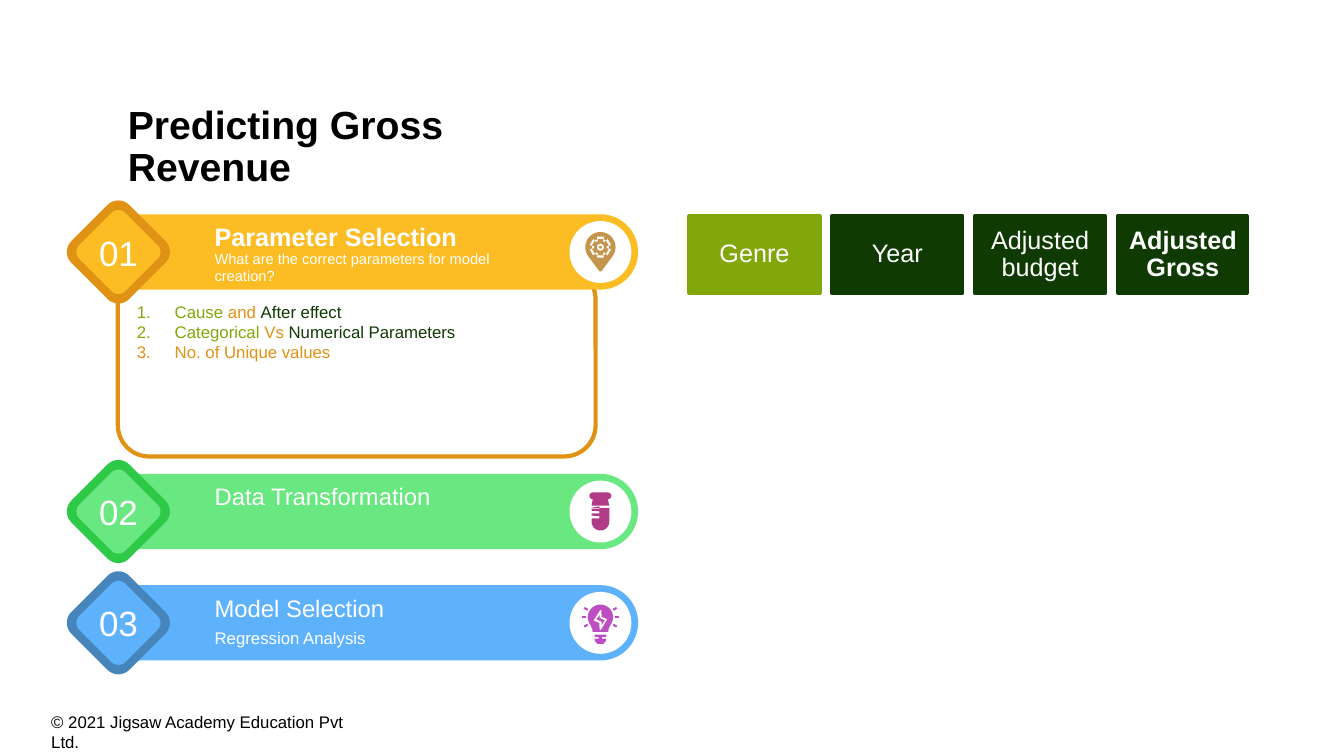
from dataclasses import dataclass
from math import cos, radians, sin

from lxml.etree import SubElement
from pptx import Presentation
from pptx.dml.color import RGBColor
from pptx.enum.shapes import MSO_CONNECTOR, MSO_SHAPE
from pptx.enum.text import MSO_ANCHOR, PP_ALIGN
from pptx.oxml.ns import qn
from pptx.util import Pt


@dataclass(frozen=True)
class Theme:
    face: str = "Arial"
    black: str = "000000"
    white: str = "FFFFFF"
    olive: str = "82A70A"
    forest: str = "0F3A02"
    amber: str = "E09214"
    yellow: str = "FCBD24"
    green: str = "2FC948"
    mint: str = "69E781"
    blue: str = "4685BC"
    sky: str = "5EB2FC"
    pin: str = "C3954D"
    tube: str = "B13B87"
    bulb: str = "BC4DC3"
    headline: float = 28
    number: float = 25
    heading: float = 18
    subheading: float = 17
    body: float = 12
    question: float = 10.5


THEME = Theme()

HEADLINE = "Predicting Gross Revenue"
COPYRIGHT = "© 2021 Jigsaw Academy Education Pvt Ltd."
CRITERIA = [
    [("Cause", THEME.olive), (" and ", THEME.amber), ("After effect", THEME.forest)],
    [("Categorical", THEME.olive), (" Vs ", THEME.amber), ("Numerical Parameters", THEME.forest)],
    [("No. of Unique values", THEME.amber)],
]
# name, colour, outline width, bold
PARAMETERS = [
    ("Genre", THEME.olive, 3, False),
    ("Year", THEME.forest, 3, False),
    ("Adjusted budget", THEME.forest, 3, False),
    ("Adjusted Gross", THEME.forest, 2.25, True),
]
# number, heading, size, bold, detail, detail size, bar colour, rim colour, middle, icon
STEPS = [
    ("01", "Parameter Selection", THEME.heading, True,
     "What are the correct parameters for model creation?", THEME.question,
     THEME.yellow, THEME.amber, 180, "pin"),
    ("02", "Data Transformation", THEME.subheading, False, None, THEME.body,
     THEME.mint, THEME.green, 365.4, "tube"),
    ("03", "Model Selection", THEME.subheading, False, "Regression Analysis", THEME.body,
     THEME.sky, THEME.blue, 444.9, "bulb"),
]
BADGE_X, ICON_X, TEXT_X = 84.6, 428.9, 146.2
BAR_LEFT, BAR_HALF, ICON_RADIUS = 90.5, 26.9, 22.1

presentation = Presentation()
presentation.slide_width, presentation.slide_height = Pt(960), Pt(540)
slide = presentation.slides.add_slide(presentation.slide_layouts[6])
shapes = slide.shapes


def rgb(color):
    return RGBColor.from_string(color)


def paint(shape, fill=None, line=None, width=1):
    shape.shadow.inherit = False
    if fill:
        shape.fill.solid()
        shape.fill.fore_color.rgb = rgb(fill)
    else:
        shape.fill.background()
    if line:
        shape.line.color.rgb = rgb(line)
        shape.line.width = Pt(width)
    else:
        shape.line.fill.background()
    return shape


def set_frame(shape, inset_x, inset_y, anchor):
    frame = shape.text_frame
    frame.word_wrap = True
    frame.vertical_anchor = anchor
    frame.margin_left = frame.margin_right = Pt(inset_x)
    frame.margin_top = frame.margin_bottom = Pt(inset_y)
    return frame


def write(shape, text, size, color=THEME.white, bold=False, align=PP_ALIGN.LEFT,
          anchor=MSO_ANCHOR.MIDDLE, inset=(7.2, 7.2), spacing=1.0):
    paragraph = set_frame(shape, *inset, anchor).paragraphs[0]
    paragraph.text = text
    paragraph.alignment = align
    paragraph.line_spacing = spacing
    font = paragraph.font
    font.name, font.size, font.bold = THEME.face, Pt(size), bold
    font.color.rgb = rgb(color)


def text_box(left, top, width, height):
    return shapes.add_textbox(Pt(left), Pt(top), Pt(width), Pt(height))


def arc(x, y, radius, start, end, step=6):
    """Points from start to end degrees, clockwise on the slide."""
    return [(x + radius * cos(radians(a)), y + radius * sin(radians(a)))
            for a in range(start, end + 1, step)]


def outline(contours, x, y, fill):
    """One filled shape; contours nested in one another become holes."""
    builder = None
    for contour in contours:
        points = [(Pt(x + dx), Pt(y + dy)) for dx, dy in contour]
        if builder is None:
            builder = shapes.build_freeform(*points[0])
        else:
            builder.move_to(*points[0])
        builder.add_line_segments(points[1:], close=True)
    return paint(builder.convert_to_shape(), fill)


def diamond(half, radius):
    reach = half - radius
    return [point for a in (0, 90, 180, 270)
            for point in arc(reach * cos(radians(a)), reach * sin(radians(a)),
                             radius, a - 45, a + 45, 9)]


def gear(y, tip, valley):
    """Six teeth, the first pointing up."""
    return [(radius * cos(radians(a + turn)), y + radius * sin(radians(a + turn)))
            for a in range(-90, 270, 60)
            for turn, radius in ((-19, tip), (19, tip), (22, valley), (38, valley))]


def draw_pin(x, y):
    hub = -3.4
    body = arc(0, hub, 10.8, 143, 397, 2) + [(0.7, 13.8), (-0.7, 13.8)]
    outline([body, gear(hub, 7.9, 6.2), gear(hub, 6.1, 4.5),
             arc(0, hub, 2.5, 0, 354), arc(0, hub, 1, 0, 354)], x, y, THEME.pin)


def draw_tube(x, y):
    cap = (arc(-5.4, -11.2, 2.4, 90, 270) + arc(5.4, -11.2, 2.4, -90, 90)
           + [(6.3, -4.3), (-6.3, -4.3)])
    scale_marks = [point for top in (5.2, 1.7, -1.8)
                   for point in ((-6.3, top + 1.2), (-6.3, top + 1.2 - 1.5),
                                 (-0.8, top - 0.3), (-0.8, top - 1.9))]
    glass = [(-6.3, -2.7), (6.3, -2.7)] + arc(0, 7.2, 6.3, 0, 180) + scale_marks
    outline([cap], x, y, THEME.tube)
    outline([glass], x, y, THEME.tube)


def draw_bulb(x, y):
    center = -4
    glass = arc(0, center, 9, 145, 395, 5) + [(5.8, 4.4), (5.6, 6.5), (-5.6, 6.5), (-5.8, 4.4)]
    bolt_edge = [(0.6, -9.2), (0.9, -4.4), (5, -2.6), (0.3, 5.2), (-0.6, 4.8),
                 (-0.8, 0.2), (-5, -1.6), (-0.4, -8.9)]
    bolt = [(-0.5, -5.6), (-0.5, -3.5), (3.1, -1.7), (0.8, 1.7), (0.8, -0.8), (-2.8, -2.6)]
    outline([glass, bolt_edge, bolt], x, y, THEME.bulb)
    cap = [(-4.2, 8.4), (4.2, 8.4), (4.2, 10), (1.2, 10), (1.2, 11.3), (4.2, 11.3),
           (4, 13), (2, 15), (-2, 15), (-4, 13), (-4.2, 11.3), (-1.2, 11.3),
           (-1.2, 10), (-4.2, 10)]
    outline([cap], x, y, THEME.bulb)
    for angle in (-30, 0, 30, 150, 180, 210):
        dx, dy = cos(radians(angle)), sin(radians(angle))
        ray = shapes.add_connector(
            MSO_CONNECTOR.STRAIGHT, Pt(x + 10.6 * dx), Pt(y + center + 10.6 * dy),
            Pt(x + 13.4 * dx), Pt(y + center + 13.4 * dy))
        ray.line.color.rgb = rgb(THEME.bulb)
        ray.line.width = Pt(1.5)
        SubElement(ray.element.spPr, qn("a:effectLst"))


ICONS = {"pin": draw_pin, "tube": draw_tube, "bulb": draw_bulb}


def draw_criteria():
    panel = paint(shapes.add_shape(MSO_SHAPE.ROUNDED_RECTANGLE, Pt(84.2), Pt(191.5),
                                   Pt(341.3), Pt(134.6)), line=THEME.amber, width=3)
    frame = set_frame(panel, 7.2, 17.4, MSO_ANCHOR.TOP)
    for index, criterion in enumerate(CRITERIA):
        paragraph = frame.paragraphs[0] if index == 0 else frame.add_paragraph()
        paragraph.alignment = PP_ALIGN.LEFT
        properties = paragraph._p.get_or_add_pPr()
        properties.set("marL", str(Pt(27)))
        properties.set("indent", str(-Pt(27)))
        bullet_color = SubElement(properties, qn("a:buClr"))
        SubElement(bullet_color, qn("a:srgbClr"), val=criterion[0][1])
        SubElement(properties, qn("a:buAutoNum"), type="arabicPeriod")
        paragraph.font.name, paragraph.font.size = THEME.face, Pt(THEME.body)
        for words, color in criterion:
            run = paragraph.add_run()
            run.text = words
            run.font.color.rgb = rgb(color)


def draw_step(number, heading, size, bold, detail, detail_size, bar, rim, middle, icon):
    cap_x = ICON_X - BAR_LEFT
    outline([[(0, BAR_HALF), (0, -BAR_HALF)] + arc(cap_x, 0, BAR_HALF, -90, 90)],
            BAR_LEFT, middle, bar)
    paint(shapes.add_shape(MSO_SHAPE.OVAL, Pt(ICON_X - ICON_RADIUS), Pt(middle - ICON_RADIUS),
                           Pt(2 * ICON_RADIUS), Pt(2 * ICON_RADIUS)), THEME.white)
    outline([diamond(36.8, 11)], BADGE_X, middle, rim)
    badge = outline([diamond(30, 7)], BADGE_X, middle, bar)
    write(badge, number, THEME.number, align=PP_ALIGN.CENTER)
    write(text_box(TEXT_X, middle - 25.2, 252.7, 28.8), heading, size, bold=bold)
    if detail:
        write(text_box(TEXT_X, middle - 3.6, 252.7, 28.8), detail, detail_size)
    ICONS[icon](ICON_X, middle)


write(text_box(29.5, 504.7, 225.4, 21.6), COPYRIGHT, THEME.body, THEME.black,
      anchor=MSO_ANCHOR.TOP, inset=(7.2, 3.6))
draw_criteria()
write(text_box(84.2, 39.6, 291.6, 100), HEADLINE, THEME.headline, THEME.black, bold=True,
      anchor=MSO_ANCHOR.BOTTOM, inset=(7.2, 3.6), spacing=0.9)
for column, (parameter, color, width, bold) in enumerate(PARAMETERS):
    card = paint(shapes.add_shape(MSO_SHAPE.RECTANGLE, Pt(492.5 + 102 * column), Pt(154.1),
                                  Pt(92.9), Pt(55.4)), color, color, width)
    write(card, parameter, THEME.heading, bold=bold, align=PP_ALIGN.CENTER,
          inset=(5, 5), spacing=0.9)
for step in STEPS:
    draw_step(*step)

presentation.save("out.pptx")
